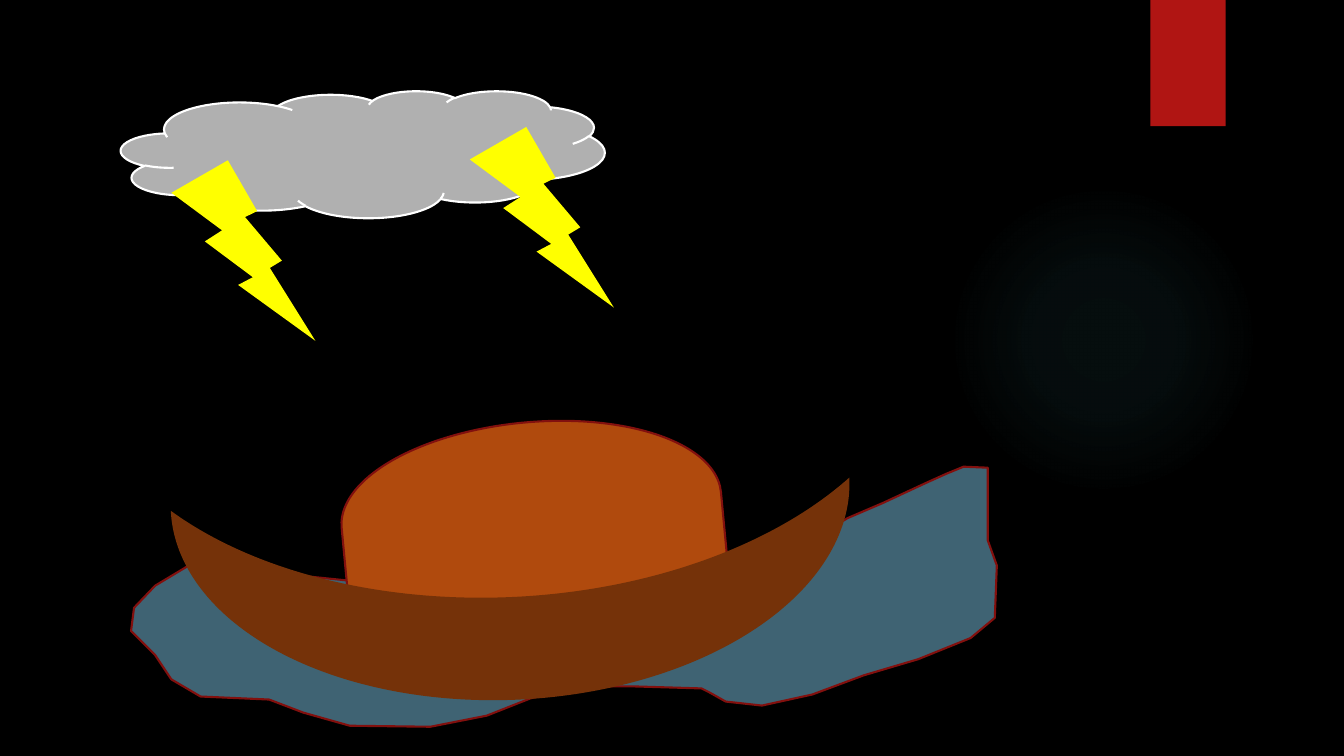
import itertools

import pptx
import pptx.dml.color
import pptx.enum.shapes
import pptx.oxml
import pptx.oxml.ns
import pptx.util

PRESET = pptx.enum.shapes.MSO_SHAPE
NAMESPACE = pptx.oxml.ns.nsdecls("a")
HUNDREDTH_INCH = pptx.util.Cm(2.54) / 100

NIGHT = "000000"
RIBBON_RED = "B01513"
GLOW_TEAL = "50B9C1"
CLOUD_GREY = "B0B0B0"
CLOUD_EDGE = "FFFFFF"
LIGHTNING_YELLOW = "FFFF00"
SEA_BLUE = "3F6373"
MAROON_EDGE = "82100E"
CABIN_ORANGE = "B04A0D"
HULL_BROWN = "753209"

GLOW_FADE = {0: 7, 36: 6, 69: 0}
BOLT_SIZE = (3.63, 4.55)
BOLT_CORNERS = [(4.32, 4.04), (11.84, 3.2)]

SEA_EDGES = {
    "rising crest": [(747, 617), (770, 586), (800, 550), (813, 531), (841, 514),
                     (876, 499), (919, 479), (939, 470), (956, 463)],
    "right end": [(980, 464), (980, 536), (989, 561), (987, 613)],
    "right swell": [(963, 633), (911, 654), (857, 670), (806, 689), (756, 700),
                    (720, 696), (704, 687), (696, 683)],
    "hollow": [(630, 681), (574, 681), (526, 693)],
    "left swell": [(483, 710), (427, 721), (347, 720), (301, 707), (267, 694),
                   (199, 691)],
    "left end": [(170, 674), (154, 650), (130, 626), (133, 603), (154, 581),
                 (189, 560)],
}


def color(hex_code):
    """Turn a hex string into a colour."""
    return pptx.dml.color.RGBColor.from_string(hex_code)


def paint(shape, fill, edge=None):
    """Give a shape a solid fill, an optional outline and no shadow."""
    shape.shadow.inherit = False
    shape.fill.solid()
    shape.fill.fore_color.rgb = color(fill)
    if edge:
        shape.line.color.rgb = color(edge)
        shape.line.width = pptx.util.Pt(1.5)
    else:
        shape.line.fill.background()


def add_figure(slide, preset, corner, size, fill, edge=None, rotation=0):
    """Add a painted preset shape, with corner and size in centimetres."""
    figure = slide.shapes.add_shape(preset, *map(pptx.util.Cm, corner + size))
    figure.rotation = rotation
    paint(figure, fill, edge)
    return figure


def fade_outwards(shape, hex_code, fade):
    """Replace a solid fill by a radial one of the given opacity per position."""
    stops = "".join(
        f'<a:gs pos="{position * 1000}"><a:srgbClr val="{hex_code}">'
        f'<a:alpha val="{opacity * 1000}"/></a:srgbClr></a:gs>'
        for position, opacity in fade.items()
    )
    gradient = pptx.oxml.parse_xml(
        f'<a:gradFill {NAMESPACE} rotWithShape="1"><a:gsLst>{stops}</a:gsLst>'
        '<a:path path="circle"><a:fillToRect l="50000" t="50000" r="50000" b="50000"/>'
        "</a:path></a:gradFill>"
    )
    properties = shape._element.spPr
    properties.replace(properties.find(pptx.oxml.ns.qn("a:solidFill")), gradient)


def cast_shadow(shape):
    """Cast a soft black shadow below a shape."""
    effects = shape._element.spPr.find(pptx.oxml.ns.qn("a:effectLst"))
    effects.append(pptx.oxml.parse_xml(
        f'<a:outerShdw {NAMESPACE} blurRad="{pptx.util.Pt(3)}" dist="{pptx.util.Pt(2)}" '
        'dir="5400000" rotWithShape="0"><a:srgbClr val="000000">'
        '<a:alpha val="45000"/></a:srgbClr></a:outerShdw>'
    ))


def add_backdrop(slide):
    """Paint the night and add the faint glow and the ribbon."""
    slide.background.fill.solid()
    slide.background.fill.fore_color.rgb = color(NIGHT)
    glow = add_figure(slide, PRESET.OVAL, (23.9, 4.65), (7.82, 7.82), GLOW_TEAL)
    fade_outwards(glow, GLOW_TEAL, GLOW_FADE)
    ribbon = add_figure(slide, PRESET.RECTANGLE, (28.99, 0), (1.9, 3.18), RIBBON_RED)
    cast_shadow(ribbon)


def add_storm(slide):
    """Add the cloud and its equal lightning bolts."""
    add_figure(slide, PRESET.CLOUD, (3.05, 2.29), (12.19, 3.2), CLOUD_GREY, CLOUD_EDGE)
    for corner in BOLT_CORNERS:
        add_figure(slide, PRESET.LIGHTNING_BOLT, corner, BOLT_SIZE, LIGHTNING_YELLOW)


def add_sea(slide):
    """Join the edges of the sea, in hundredths of an inch, into one outline."""
    start, *shore = itertools.chain.from_iterable(SEA_EDGES.values())
    builder = slide.shapes.build_freeform(*start, scale=HUNDREDTH_INCH)
    builder.add_line_segments(shore, close=True)
    paint(builder.convert_to_shape(), SEA_BLUE, MAROON_EDGE)


def add_boat(slide):
    """Add the cabin and, in front of it, the hull, both turned on their side."""
    add_figure(slide, PRESET.FLOWCHART_DELAY, (11.18, 8.05), (4.42, 9.6),
               CABIN_ORANGE, MAROON_EDGE, rotation=264.6)
    add_figure(slide, PRESET.MOON, (10.39, 6.48), (5.18, 17.12),
               HULL_BROWN, rotation=267.2)


def main():
    """Build the slide with a boat in a thunderstorm."""
    deck = pptx.Presentation()
    deck.slide_width = pptx.util.Cm(33.87)
    deck.slide_height = pptx.util.Cm(19.05)
    slide = deck.slides.add_slide(deck.slide_layouts[6])
    for add_part in (add_backdrop, add_storm, add_sea, add_boat):
        add_part(slide)
    deck.save("out.pptx")


main()
